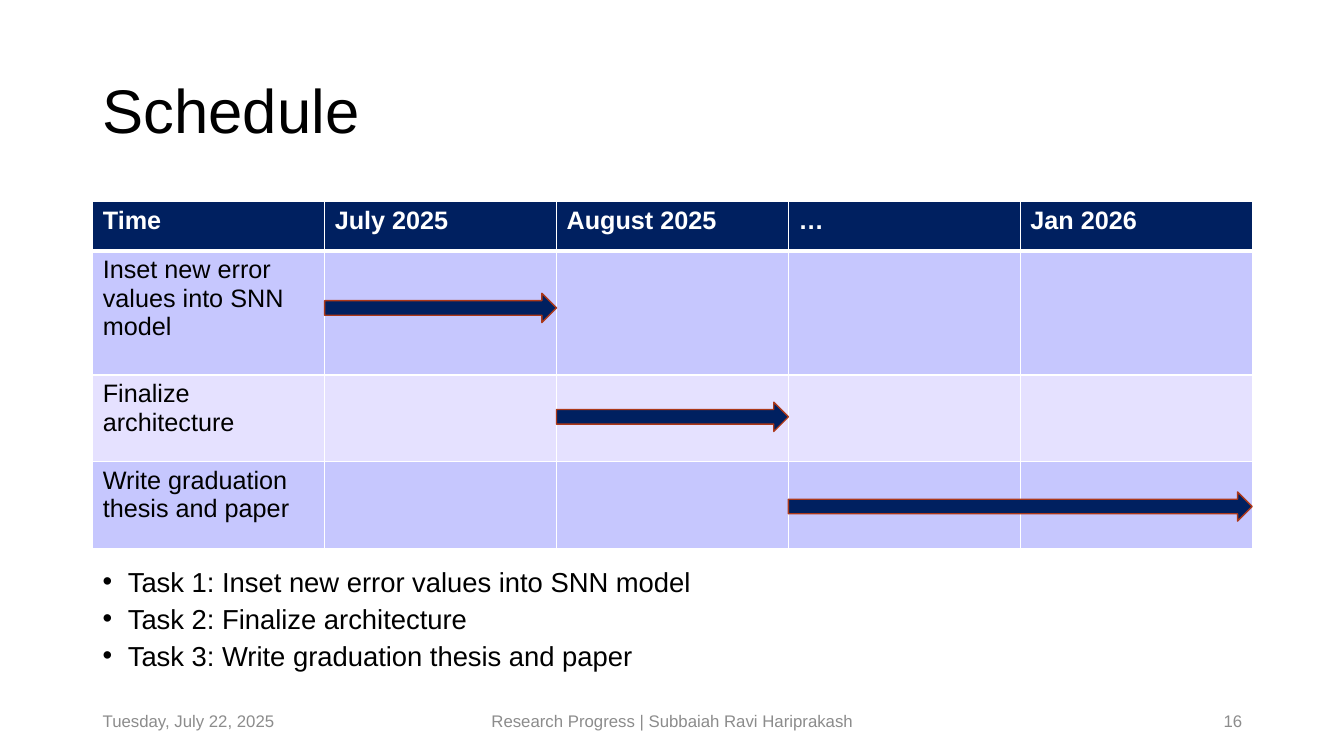
from dataclasses import dataclass

from lxml import etree
from pptx import Presentation
from pptx import util as u
from pptx.dml.color import RGBColor
from pptx.enum import shapes, text
from pptx.oxml import ns

SCALE = 9144
FONT = "Arial"
COLOURS = {
    "navy": "002060",
    "lilac": "C6C7FE",
    "pale": "E5E1FF",
    "rust": "AC3819",
    "grey": "8C8C8C",
    "black": "000000",
    "white": "FFFFFF",
}
LEFT, WIDTH = 92, 1150
TABLE_TOP, COLUMN = 200, 230
ROW_HEIGHTS = (49, 123, 86, 86)
ARROW_HEIGHT = 29
MONTHS = ("July 2025", "August 2025", "…", "Jan 2026")


@dataclass(frozen=True)
class Task:
    name: str
    arrow_top: int
    first_month: int
    months: int


@dataclass(frozen=True)
class Footer:
    words: str
    left: int
    width: int
    align: text.PP_ALIGN


TASKS = (
    Task("Inset new error values into SNN model", 291, 0, 1),
    Task("Finalize architecture", 399, 1, 1),
    Task("Write graduation thesis and paper", 488, 2, 2),
)
FOOTERS = (
    Footer("Tuesday, July 22, 2025", LEFT, 300, text.PP_ALIGN.LEFT),
    Footer("Research Progress | Subbaiah Ravi Hariprakash", 442, 450, text.PP_ALIGN.CENTER),
    Footer("16", 942, 300, text.PP_ALIGN.RIGHT),
)


def px(length: int) -> u.Emu:
    return u.Emu(length * SCALE)


def colour(name: str) -> RGBColor:
    return RGBColor.from_string(COLOURS[name])


def write(para, words: str, *, size: float, ink: str = "black", bold: bool = False,
          align=text.PP_ALIGN.LEFT, line_spacing: float = 1.0, before: float = 0) -> None:
    para.alignment = align
    para.line_spacing = line_spacing
    para.space_before = u.Pt(before)
    span = para.add_run()
    span.text = words
    span.font.name = FONT
    span.font.size = u.Pt(size)
    span.font.bold = bold
    span.font.color.rgb = colour(ink)


def add_box(page, left: int, top: int, width: int, height: int, anchor):
    frame = page.shapes.add_textbox(px(left), px(top), px(width), px(height)).text_frame
    frame.word_wrap = True
    frame.vertical_anchor = anchor
    return frame


def add_bullet(para, indent: int) -> None:
    properties = para._p.get_or_add_pPr()
    properties.set("marL", str(px(indent)))
    properties.set("indent", str(-px(indent)))
    etree.SubElement(properties, ns.qn("a:buFont"), typeface=FONT)
    etree.SubElement(properties, ns.qn("a:buChar"), char="•")


def add_borders(cell, top: int, bottom: int) -> None:
    properties = cell._tc.get_or_add_tcPr()
    for side, points in (("L", 1), ("R", 1), ("T", top), ("B", bottom)):
        line = etree.SubElement(properties, ns.qn(f"a:ln{side}"), w=str(u.Pt(points)))
        fill = etree.SubElement(line, ns.qn("a:solidFill"))
        etree.SubElement(fill, ns.qn("a:srgbClr"), val=COLOURS["white"])


def add_schedule(page) -> None:
    rows = [("Time", *MONTHS)] + [(task.name, *[""] * len(MONTHS)) for task in TASKS]
    table = page.shapes.add_table(
        len(rows), len(rows[0]), px(LEFT), px(TABLE_TOP), px(WIDTH), px(sum(ROW_HEIGHTS))
    ).table
    for column in table.columns:
        column.width = px(COLUMN)
    for index, (height, words) in enumerate(zip(ROW_HEIGHTS, rows)):
        table.rows[index].height = px(height)
        header = index == 0
        shade = "navy" if header else ("pale", "lilac")[index % 2]
        for cell, label in zip(table.rows[index].cells, words):
            add_borders(cell, top=3 if index == 1 else 1, bottom=3 if header else 1)
            cell.fill.solid()
            cell.fill.fore_color.rgb = colour(shade)
            if label:
                write(cell.text_frame.paragraphs[0], label, size=18,
                      ink="white" if header else "black", bold=header)


def add_arrow(page, task: Task) -> None:
    left = LEFT + COLUMN * (task.first_month + 1)
    arrow = page.shapes.add_shape(
        shapes.MSO_SHAPE.RIGHT_ARROW, px(left), px(task.arrow_top),
        px(COLUMN * task.months), px(ARROW_HEIGHT)
    )
    arrow.shadow.inherit = False
    arrow.fill.solid()
    arrow.fill.fore_color.rgb = colour("navy")
    arrow.line.color.rgb = colour("rust")
    arrow.line.width = u.Pt(1)


def add_task_list(page) -> None:
    frame = add_box(page, LEFT, 565, WIDTH, 111, text.MSO_ANCHOR.TOP)
    for number, task in enumerate(TASKS, 1):
        para = frame.paragraphs[0] if number == 1 else frame.add_paragraph()
        write(para, f"Task {number}: {task.name}", size=19.6, line_spacing=0.7, before=10)
        add_bullet(para, 25)


def main() -> None:
    deck = Presentation()
    deck.slide_width, deck.slide_height = px(1333), px(750)
    page = deck.slides.add_slide(deck.slide_layouts[6])
    add_schedule(page)
    title = add_box(page, LEFT, 40, WIDTH, 145, text.MSO_ANCHOR.MIDDLE)
    write(title.paragraphs[0], "Schedule", size=44, line_spacing=0.9)
    for footer in FOOTERS:
        frame = add_box(page, footer.left, 695, footer.width, 40, text.MSO_ANCHOR.MIDDLE)
        write(frame.paragraphs[0], footer.words, size=12, ink="grey", align=footer.align)
    for task in TASKS:
        add_arrow(page, task)
    add_task_list(page)
    deck.save("out.pptx")


if __name__ == "__main__":
    main()
